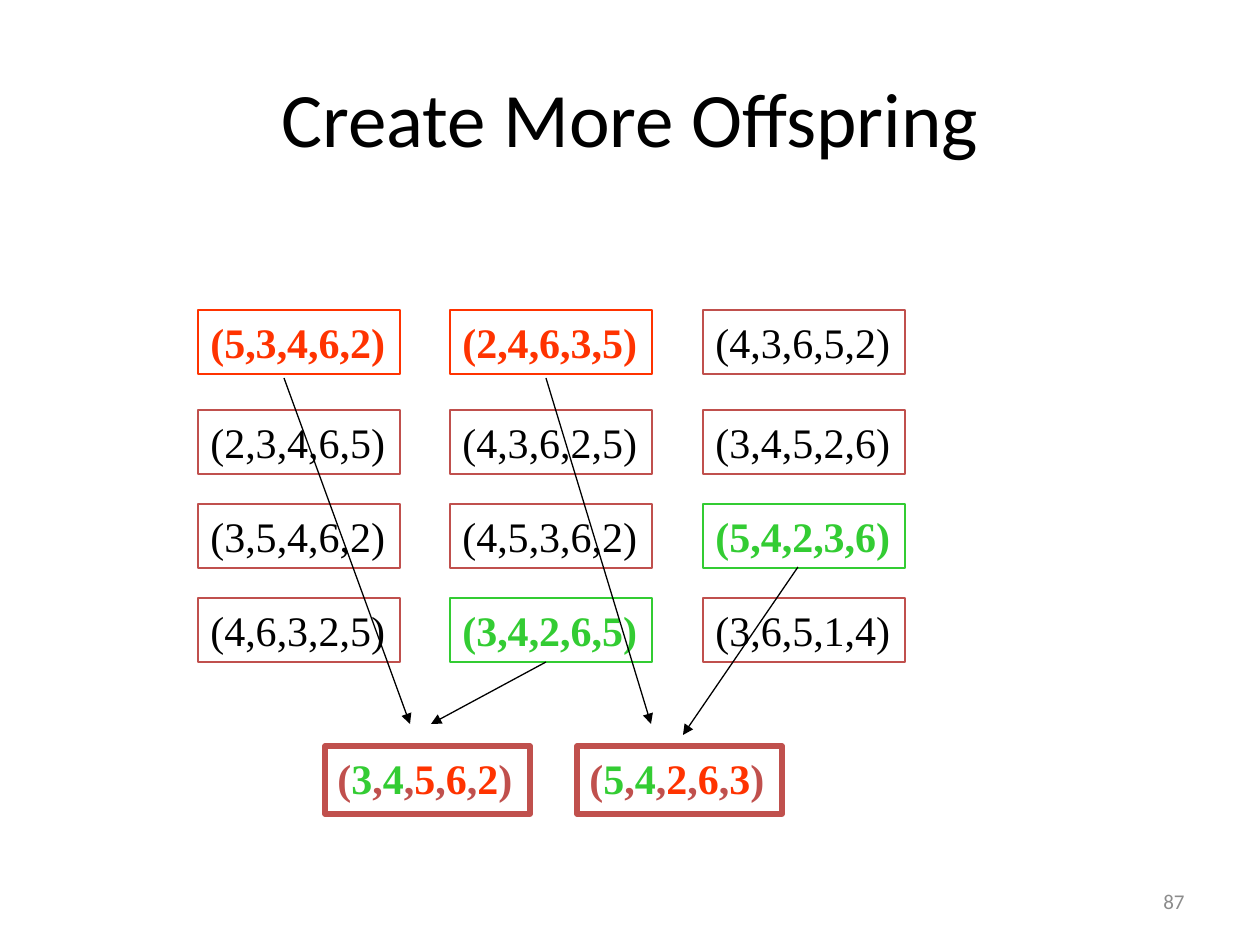
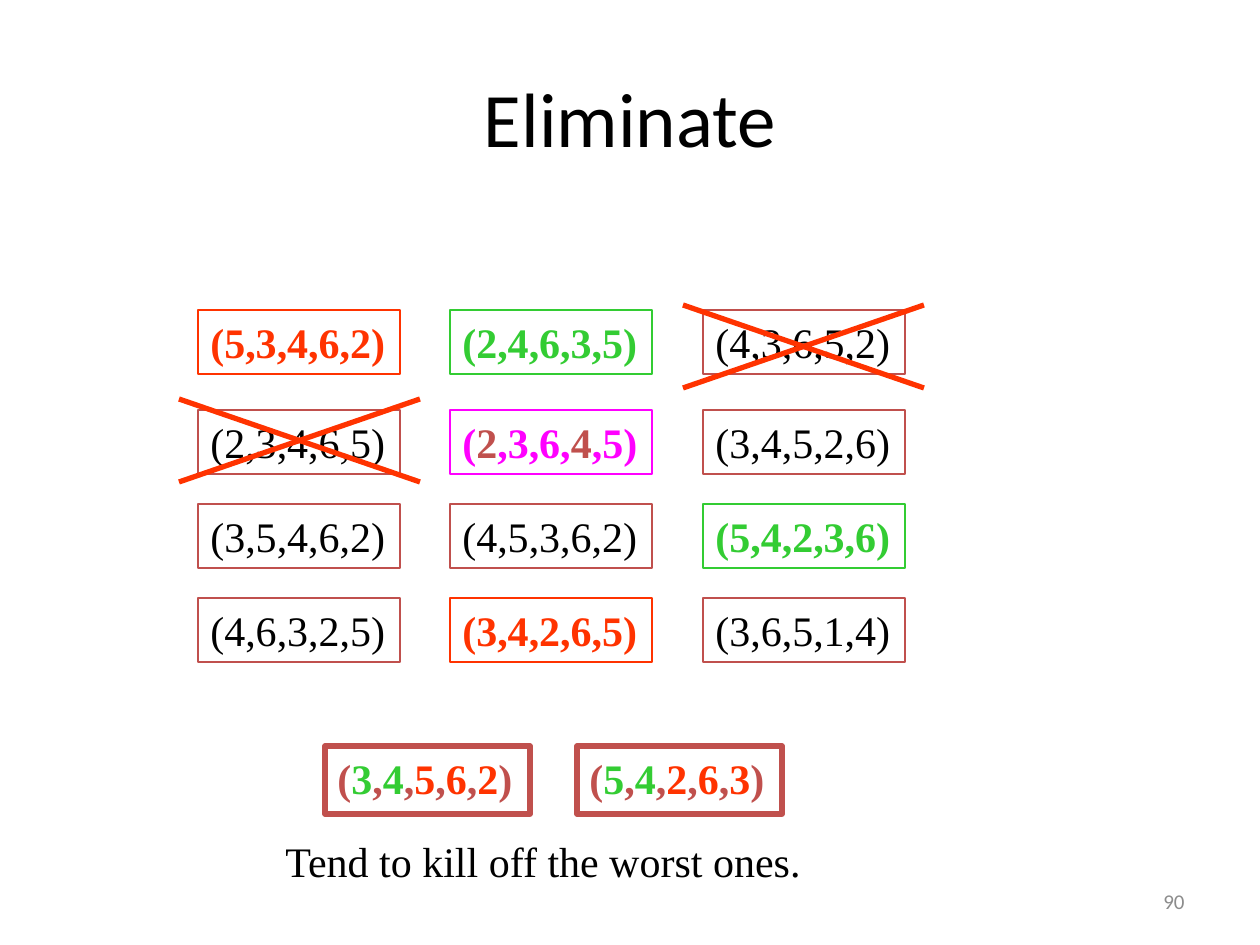
"""Draw two slides on breeding and culling a pool of tours."""
from dataclasses import dataclass, field
from itertools import groupby, product

from lxml.etree import SubElement
from pptx import Presentation
from pptx.dml.color import RGBColor as Rgb
from pptx.enum.shapes import MSO_CONNECTOR as Link, MSO_SHAPE as Form
from pptx.enum.text import MSO_ANCHOR as Anchor, MSO_AUTO_SIZE as Fit, PP_ALIGN as Align
from pptx.oxml.ns import qn
from pptx.util import Emu, Pt

HUES = {
    "black": "000000",
    "red": "FF3300",
    "green": "33CC33",
    "pink": "FF00FF",
    "brick": "C0504D",
    "grey": "8C8C8C",
}
SERIF, SANS = "Times New Roman", "Calibri"
LEFTS = (198, 450, 703)
TOPS = (310, 410, 504, 598)
POOL = (
    "(5,3,4,6,2)", "(2,4,6,3,5)", "(4,3,6,5,2)",
    "(2,3,4,6,5)", "(4,3,6,2,5)", "(3,4,5,2,6)",
    "(3,5,4,6,2)", "(4,5,3,6,2)", "(5,4,2,3,6)",
    "(4,6,3,2,5)", "(3,4,2,6,5)", "(3,6,5,1,4)",
)


@dataclass(frozen=True)
class Box:
    """A rectangle in px."""
    left: int
    top: int
    width: int
    height: int


@dataclass(frozen=True)
class Tour:
    """A tour, its main ink and the inks of single characters."""
    text: str
    ink: str = "black"
    spots: dict[int, str] = field(default_factory=dict)


@dataclass(frozen=True)
class Line:
    """A straight line in px."""
    start: tuple[int, int]
    end: tuple[int, int]
    ink: str = "black"
    weight: float = 0.75
    arrow: bool = True


MIX = {1: "green", 3: "green", 5: "red", 7: "red", 9: "red"}
YOUNG = (Tour("(3,4,5,6,2)", "brick", MIX), Tour("(5,4,2,6,3)", "brick", MIX))
ARROWS = (
    Line((284, 378), (410, 724)),
    Line((546, 662), (431, 724)),
    Line((546, 378), (651, 724)),
    Line((798, 567), (683, 735)),
)
CROSSES = (Box(179, 399, 241, 83), Box(683, 305, 241, 83))


def px(size: int) -> Emu:
    """Turn px into EMU."""
    return Emu(round(size * 914400 / 126))


def frame(box: Box) -> tuple[Emu, ...]:
    """Give the four lengths of a box in EMU."""
    return px(box.left), px(box.top), px(box.width), px(box.height)


def hue(name: str) -> Rgb:
    """Look up a colour."""
    return Rgb.from_string(HUES[name])


def style(font, face: str, size: int, ink: str, bold: bool = False) -> None:
    """Set the look of a font."""
    font.name, font.size, font.bold = face, Pt(size), bold
    font.color.rgb = hue(ink)


def put_title(slide, text: str) -> None:
    """Fill and place the title."""
    title = slide.shapes.title
    title.left, title.top, title.width, title.height = frame(Box(63, 38, 1134, 157))
    title.text_frame.text = text
    title.text_frame.vertical_anchor = Anchor.MIDDLE
    para = title.text_frame.paragraphs[0]
    para.alignment = Align.CENTER
    style(para.runs[0].font, SANS, 44, "black")


def put_tour(slide, tour: Tour, box: Box, weight: float = 0.75) -> None:
    """Draw one framed tour."""
    shape = slide.shapes.add_shape(Form.RECTANGLE, *frame(box))
    shape.shadow.inherit = False
    shape.fill.background()
    plain = tour.ink == "black"
    shape.line.color.rgb = hue("brick" if plain else tour.ink)
    shape.line.width = Pt(weight)
    body = shape.text_frame
    body.word_wrap, body.auto_size = False, Fit.SHAPE_TO_FIT_TEXT
    body.vertical_anchor = Anchor.TOP
    para = body.paragraphs[0]
    para.alignment = Align.LEFT
    spans = groupby(enumerate(tour.text), lambda pair: tour.spots.get(pair[0], tour.ink))
    for ink, pairs in spans:
        run = para.add_run()
        run.text = "".join(char for _, char in pairs)
        style(run.font, SERIF, 24, ink, not plain)


def put_pool(slide, marked: dict[int, Tour]) -> None:
    """Draw the grid of tours, with the marked ones swapped in."""
    for spot, (top, left) in enumerate(product(TOPS, LEFTS)):
        tour = marked.get(spot, Tour(POOL[spot]))
        put_tour(slide, tour, Box(left, top, 202, 64))


def put_young(slide) -> None:
    """Draw the two new tours."""
    for spot, tour in enumerate(YOUNG):
        put_tour(slide, tour, Box(325 + 252 * spot, 746, 205, 68), 3)


def put_line(slide, line: Line) -> None:
    """Draw a line or an arrow."""
    ends = (px(size) for size in (*line.start, *line.end))
    link = slide.shapes.add_connector(Link.STRAIGHT, *ends)
    link.line.color.rgb = hue(line.ink)
    link.line.width = Pt(line.weight)
    if line.arrow:
        SubElement(link.line._get_or_add_ln(), qn("a:tailEnd"), type="triangle")
    SubElement(link._element.spPr, qn("a:effectLst"))


def put_cross(slide, box: Box) -> None:
    """Strike out a box with both diagonals."""
    right, low = box.left + box.width, box.top + box.height
    for first, last in ((box.top, low), (low, box.top)):
        put_line(slide, Line((box.left, first), (right, last), "red", 3, False))


def put_note(slide, text: str) -> None:
    """Write the remark below the tours."""
    body = slide.shapes.add_textbox(*frame(Box(273, 829, 544, 63))).text_frame
    body.text = text
    body.word_wrap, body.auto_size = False, Fit.SHAPE_TO_FIT_TEXT
    style(body.paragraphs[0].runs[0].font, SERIF, 24, "black")


def put_page(slide, page: int) -> None:
    """Write the page number."""
    body = slide.shapes.add_textbox(*frame(Box(903, 876, 294, 50))).text_frame
    body.text = str(page)
    body.word_wrap, body.vertical_anchor = True, Anchor.MIDDLE
    para = body.paragraphs[0]
    para.alignment = Align.RIGHT
    style(para.runs[0].font, SANS, 12, "grey")


def add_slide(deck, title: str, page: int, inks: dict[int, str], fresh: dict[int, Tour]):
    """Add a slide with the parts that both share."""
    slide = deck.slides.add_slide(deck.slide_layouts[5])
    put_title(slide, title)
    marked = {spot: Tour(POOL[spot], ink) for spot, ink in inks.items()}
    put_pool(slide, marked | fresh)
    put_young(slide)
    put_page(slide, page)
    return slide


def main() -> None:
    """Build and save the deck."""
    deck = Presentation()
    deck.slide_width, deck.slide_height = px(1260), px(945)

    inks = {0: "red", 1: "red", 8: "green", 10: "green"}
    breed = add_slide(deck, "Create More Offspring", 87, inks, {})
    for arrow in ARROWS:
        put_line(breed, arrow)

    inks = {0: "red", 1: "green", 8: "green", 10: "red"}
    fresh = {4: Tour("(2,3,6,4,5)", "pink", {1: "brick", 7: "brick"})}
    cull = add_slide(deck, "Eliminate", 90, inks, fresh)
    for box in CROSSES:
        put_cross(cull, box)
    put_note(cull, "Tend to kill off the worst ones.")

    deck.save("out.pptx")


if __name__ == "__main__":
    main()
